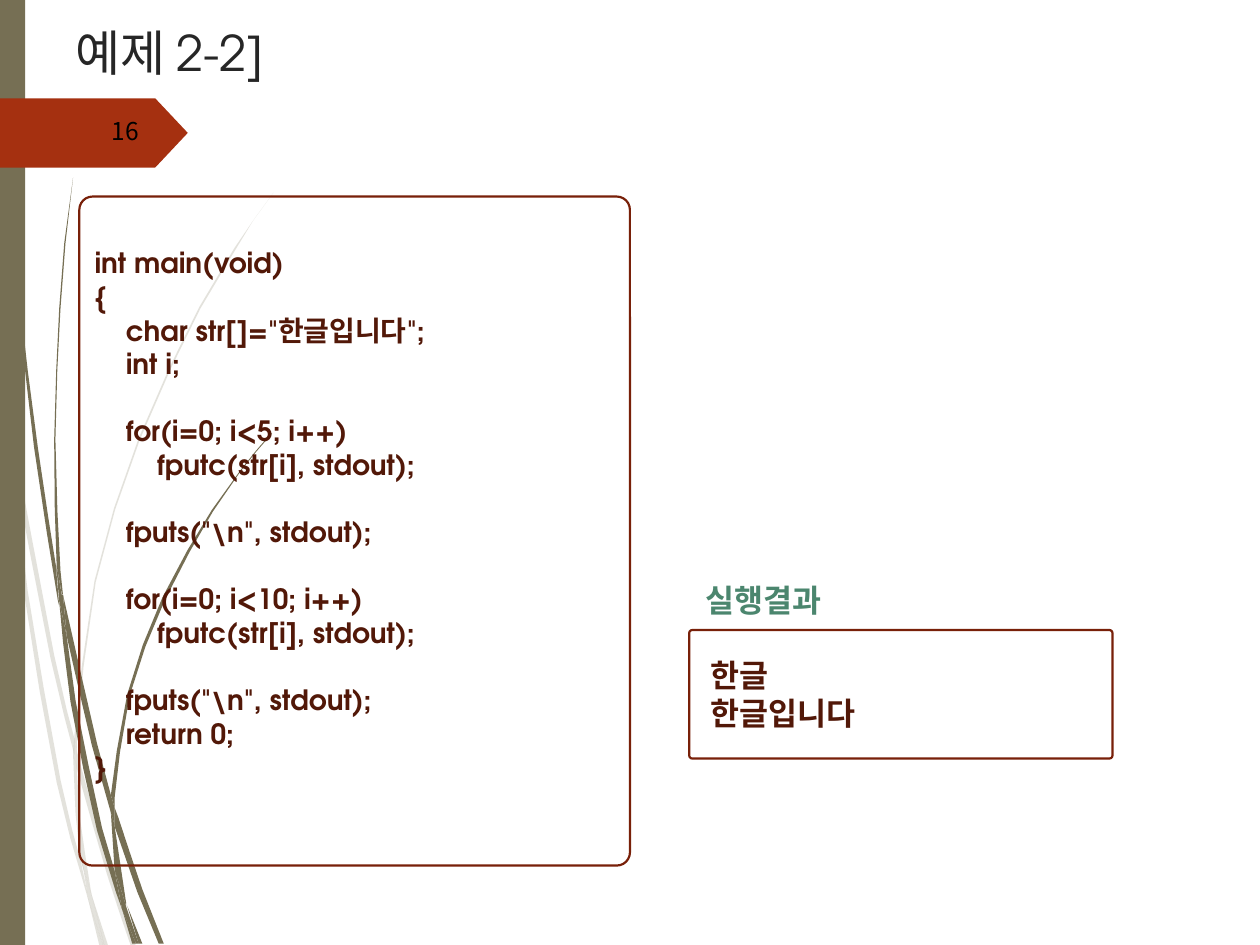
import math

import pptx
import pptx.dml.color
import pptx.enum.shapes
import pptx.enum.text
import pptx.oxml
import pptx.oxml.ns
import pptx.util
from pptx.util import Inches

RGBColor = pptx.dml.color.RGBColor
Shapes = pptx.enum.shapes.MSO_SHAPE
Align = pptx.enum.text.PP_ALIGN
Anchor = pptx.enum.text.MSO_ANCHOR

OLIVE = RGBColor(0x76, 0x6F, 0x54)
RUST = RGBColor(0xA5, 0x30, 0x10)
BORDER = RGBColor(0x78, 0x20, 0x09)
CODE_INK = RGBColor(0x52, 0x18, 0x08)
TITLE_INK = RGBColor(0x26, 0x26, 0x26)
BLACK = RGBColor(0, 0, 0)
GREEN = RGBColor(0x4B, 0x86, 0x6E)
LATIN = "TeX Gyre Adventor"
HANGUL = "Noto Sans CJK KR"
LONG_SPAN = 0.6

CODE = r'''int main(void)
{
    char str[]="한글입니다";
    int i;
    
    for(i=0; i<5; i++)
        fputc(str[i], stdout);
    
    fputs("\n", stdout);
    
    for(i=0; i<10; i++)
        fputc(str[i], stdout);
    
    fputs("\n", stdout);
    return 0;
}'''

PALE_BLADES = [
    ([(0.08, 3.5), (0.06, 3.22), (0, 2.82)], [(0, 2.99), (0.07, 3.44)]),
    ([(0.12, 3.76), (0.4, 5.22), (0.59, 5.99)], [(0.59, 5.86), (0.43, 5.2), (0.1, 3.45)]),
    ([(0.61, 5.96), (0.64, 6.07), (0.88, 6.92), (1.08, 7.51)],
     [(1.04, 7.51), (0.85, 6.94), (0.61, 6.1)]),
    ([(0.73, 7.11), (0.83, 7.51)], [(0.86, 7.51)]),
    ([(0.08, 3.5), (0.19, 4.7), (0.45, 6.21), (0.64, 6.93), (0.7, 7.14)],
     [(0.69, 7.07), (0.64, 6.83), (0.48, 6.19), (0.22, 4.69), (0.12, 3.76)]),
    ([(0.58, 5.99), (0.6, 6.46), (0.64, 6.83), (0.67, 6.92), (0.73, 7.11)],
     [(0.72, 7.06), (0.63, 6.46), (0.61, 6.1), (0.61, 6.08)]),
    ([(0.61, 5.96), (0.61, 5.84), (0.76, 4.62), (1.11, 3.49), (1.59, 2.45),
      (1.87, 1.98), (2.01, 1.75), (2.17, 1.53)],
     [(2.01, 1.75), (1.86, 1.97), (1.58, 2.44), (1.1, 3.48),
      (0.75, 4.61), (0.59, 5.84), (0.59, 5.86)]),
    ([(0.7, 7.14), (0.79, 7.51)], [(0.82, 7.51)]),
    ([(0.59, 5.86), (0.58, 5.99), (0.61, 6.08)], [(0.61, 6.1), (0.61, 5.96)]),
    ([(0.65, 6.83), (0.69, 7.07), (0.7, 7.14), (0.82, 7.51)],
     [(0.83, 7.51), (0.73, 7.11), (0.67, 6.92)]),
]
DARK_BLADES = [
    ([(0.02, 0), (0.03, 0.48), (0.05, 1.1), (0.14, 2.33), (0.27, 3.55),
      (0.46, 4.77), (0.47, 4.81)],
     [(0.45, 4.57), (0.45, 4.53), (0.3, 3.55), (0.15, 2.32), (0.06, 1.09),
      (0.04, 0.48), (0.03, 0)]),
    ([(0.53, 5.05), (0.73, 5.92), (0.88, 6.45)],
     [(0.88, 6.33), (0.88, 6.31), (0.77, 5.9), (0.5, 4.72)]),
    ([(0.91, 6.41), (0.94, 6.49), (1.13, 7.06), (1.3, 7.49)],
     [(1.26, 7.49), (1.09, 7.08), (0.91, 6.56)]),
    ([(0.47, 4.77), (0.56, 5.57), (0.77, 6.59), (0.92, 7.08), (0.97, 7.22)],
     [(0.96, 7.17), (0.91, 6.91), (0.81, 6.57), (0.6, 5.56), (0.53, 5.05)]),
    ([(0.5, 4.72), (0.48, 4.53), (0.44, 3.49), (0.48, 2.45), (0.52, 1.93), (0.58, 1.41)],
     [(0.51, 1.93), (0.47, 2.45), (0.43, 3.49), (0.45, 4.49), (0.49, 4.71)]),
    ([(1.01, 7.19), (1.1, 7.49)], [(1.13, 7.49)]),
    ([(0.45, 4.49), (0.45, 4.53), (0.47, 4.77), (0.53, 5.05)],
     [(0.5, 4.72), (0.49, 4.72)]),
    ([(0.91, 6.41), (0.91, 6.33), (1.03, 5.52), (1.31, 4.76), (1.69, 4.06),
      (1.91, 3.74), (2.03, 3.59), (2.16, 3.44)],
     [(2.15, 3.44), (2.03, 3.58), (1.91, 3.73), (1.68, 4.05), (1.29, 4.74),
      (1.01, 5.51), (0.88, 6.31)]),
    ([(0.97, 7.22), (1.05, 7.49)], [(1.08, 7.49)]),
    ([(0.88, 6.45), (0.91, 6.91), (0.96, 7.06), (1, 7.19)],
     [(1, 7.16), (0.91, 6.56), (0.9, 6.51)]),
    ([(0.88, 6.31), (0.88, 6.45), (0.9, 6.51)], [(0.91, 6.56), (0.91, 6.41)]),
    ([(0.91, 6.91), (0.96, 7.17), (0.97, 7.22), (1.08, 7.49)],
     [(1.1, 7.49), (1, 7.19), (0.96, 7.06)]),
]


def smooth_edge(points):
    padded = [points[0], *points, points[-1]]
    edge = [points[0]]
    for before, start, end, after in zip(padded, padded[1:], padded[2:], padded[3:]):
        if math.dist(start, end) > LONG_SPAN:
            edge.append(tuple((9 * (b + c) - a - d) / 16
                              for a, b, c, d in zip(before, start, end, after)))
        edge.append(end)
    return edge


def fill_plain(shape, color):
    shape.shadow.inherit = False
    shape.fill.solid()
    shape.fill.fore_color.rgb = color
    shape.line.fill.background()


def add_blades(slide, left, top, blades, opacity=None):
    for edges in blades:
        outline = [(left + Inches(x), top + Inches(y))
                   for edge in edges for x, y in smooth_edge(edge)]
        builder = slide.shapes.build_freeform(*outline[0], scale=1.0)
        builder.add_line_segments(outline[1:], close=True)
        shape = builder.convert_to_shape()
        fill_plain(shape, OLIVE)
        if opacity is not None:
            color = shape.fill._xPr.find(".//" + pptx.oxml.ns.qn("a:srgbClr"))
            alpha = pptx.oxml.ns.qn("a:alpha")
            color.append(color.makeelement(alpha, {"val": str(opacity * 1000)}))


def write_lines(shape, lines, size, color, font=LATIN, bold=False,
                align=Align.LEFT, anchor=Anchor.MIDDLE):
    frame = shape.text_frame
    frame.word_wrap = True
    frame.vertical_anchor = anchor
    for index, line in enumerate(lines):
        paragraph = frame.add_paragraph() if index else frame.paragraphs[0]
        paragraph.text = line
        paragraph.alignment = align
        paragraph.font.name = font
        paragraph.font.size = pptx.util.Pt(size)
        paragraph.font.bold = bold
        paragraph.font.color.rgb = color
    return frame


def add_decoration(slide, left, top, height):
    add_blades(slide, left, top, PALE_BLADES, opacity=20)
    add_blades(slide, left, top, DARK_BLADES)
    rail = slide.shapes.add_shape(Shapes.RECTANGLE, left, top, Inches(0.2), height)
    fill_plain(rail, OLIVE)


def add_page_marker(slide, left, top, width, height):
    arrow = slide.shapes.add_shape(Shapes.PENTAGON, left, top, width, height)
    arrow.adjustments[0] = 0.47
    fill_plain(arrow, RUST)
    number = slide.shapes.add_textbox(
        left + Inches(0.56), top + Inches(0.08), Inches(0.64), Inches(0.4))
    frame = write_lines(number, ["16"], 14, BLACK, HANGUL, align=Align.RIGHT)
    frame.paragraphs[0].line_spacing = 0.8


def add_title(slide, left, top, width, height):
    title = slide.shapes.add_textbox(left, top, width, height)
    write_lines(title, ["예제 2-2]"], 28, TITLE_INK, anchor=Anchor.TOP)


def add_panel(slide, left, top, width, height, lines, size):
    panel = slide.shapes.add_shape(Shapes.ROUNDED_RECTANGLE, left, top, width, height)
    panel.adjustments[0] = 0.024
    panel.shadow.inherit = False
    panel.fill.background()
    panel.line.color.rgb = BORDER
    panel.line.width = pptx.util.Pt(1.25)
    return write_lines(panel, lines, size, CODE_INK, bold=True)


def add_code(slide, left, top, width, height):
    frame = add_panel(slide, left, top, width, height, CODE.split("\n"), 16)
    frame.margin_left = Inches(0.09)
    frame.margin_bottom = Inches(0.31)


def add_result(slide, left, top, width, height):
    label_height = Inches(0.47)
    frame = add_panel(slide, left, top + label_height, width, height - label_height,
                      ["한글", "한글입니다"], 18)
    frame.margin_left = Inches(0.16)
    label = slide.shapes.add_textbox(
        left - Inches(0.31), top, Inches(1.8), label_height)
    write_lines(label, ["실행결과"], 18, GREEN, bold=True, align=Align.CENTER)


def main():
    presentation = pptx.Presentation()
    presentation.slide_width = Inches(10)
    presentation.slide_height = Inches(7.5)
    slide = presentation.slides.add_slide(presentation.slide_layouts[6])
    add_decoration(slide, Inches(0), Inches(0), presentation.slide_height)
    add_page_marker(slide, Inches(0), Inches(0.78), Inches(1.49), Inches(0.55))
    add_title(slide, Inches(0.5), Inches(0.13), Inches(8.25), Inches(0.73))
    add_code(slide, Inches(0.63), Inches(1.56), Inches(4.37), Inches(5.31))
    add_result(slide, Inches(5.47), Inches(4.53), Inches(3.36), Inches(1.49))
    presentation.save("out.pptx")


if __name__ == "__main__":
    main()
